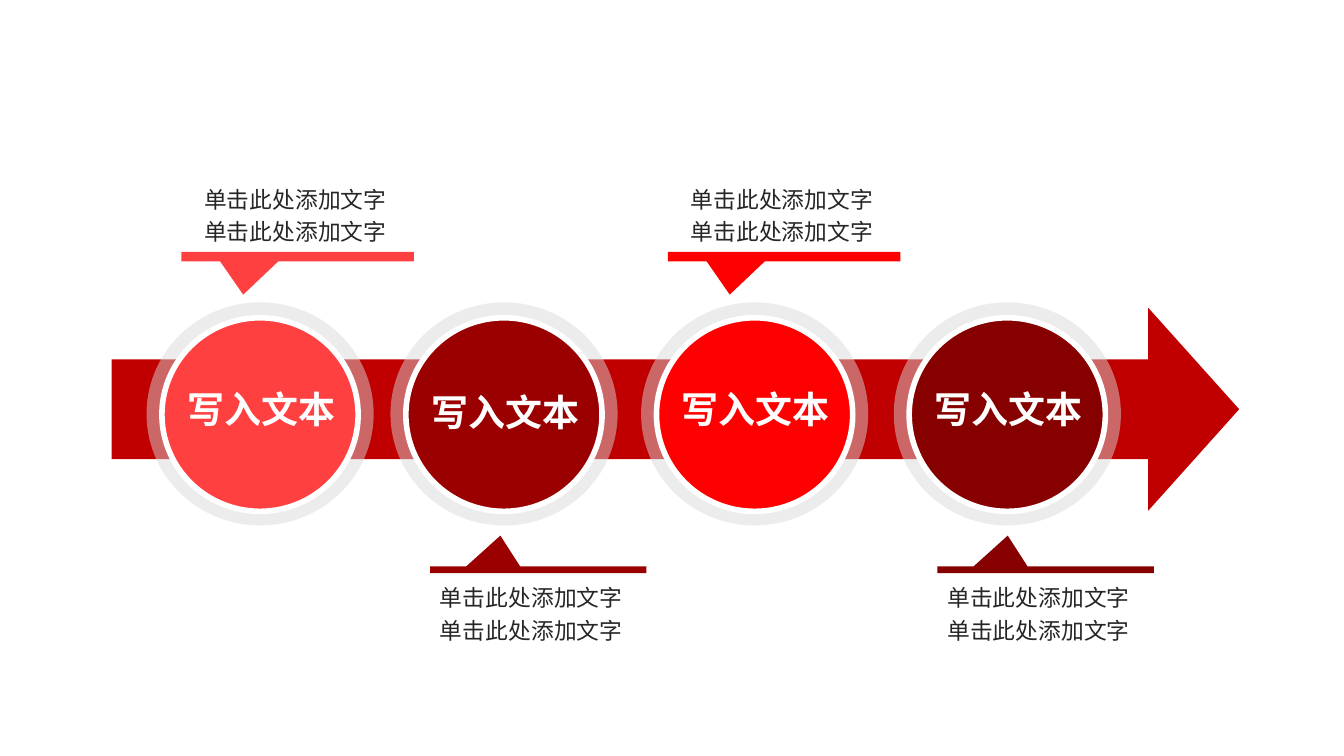
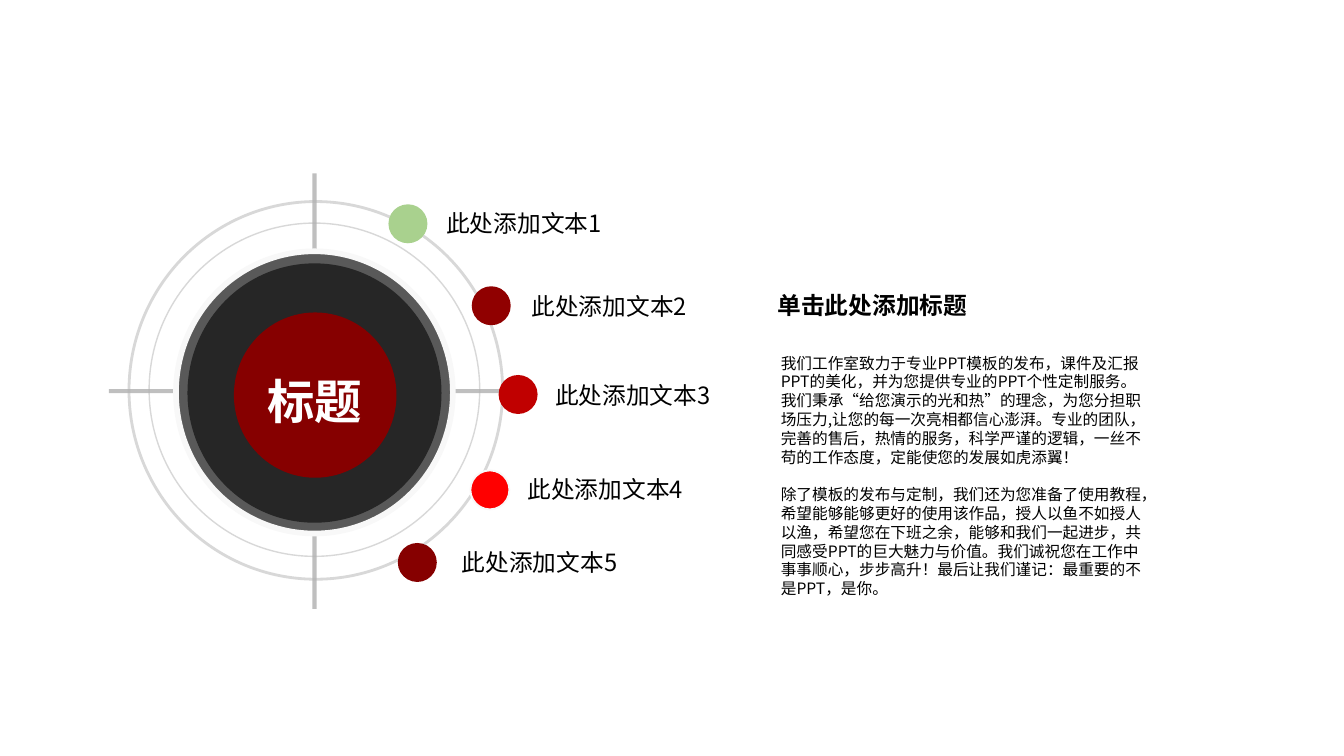
import pptx
import pptx.util
import pptx.dml.color
import pptx.enum.shapes
import pptx.enum.text
import pptx.oxml.ns
import lxml.etree

SHAPE = pptx.enum.shapes.MSO_SHAPE
ALIGN = pptx.enum.text.PP_ALIGN
ANCHOR = pptx.enum.text.MSO_ANCHOR
AUTO_SIZE = pptx.enum.text.MSO_AUTO_SIZE

# Shared style; every length is in square grid cells, 100 to the slide width
WIDTH = pptx.util.Inches(10)
HEIGHT = WIDTH * 9 // 16
COLUMNS = 100
FONT = "Noto Sans CJK SC"
WHITE, BLACK, INK = "FFFFFF", "000000", "262626"
RED, BRIGHT, CORAL = "C00000", "FF0000", "FF4040"
MAROON, DARK, WINE = "9A0000", "860000", "900000"
HALO, PALE, RING, CROSS = "D8D8D8", "F8F8F8", "B2B2B2", "808080"
RIM, GREEN = "595959", "A9D18E"
WIDE_INSET, SMALL_INSET = (1, 0.5), (0.7, 0.4)

# Wording
STAGE = "写入文本"
NOTE = ["单击此处添加文字"] * 2
HEADING = "单击此处添加标题"
BODY = [
    "我们工作室致力于专业PPT模板的发布，课件及汇报PPT的美化，并为您提供专业的PPT个性定制服务。"
    "我们秉承“给您演示的光和热”的理念，为您分担职场压力,让您的每一次亮相都信心澎湃。"
    "专业的团队，完善的售后，热情的服务，科学严谨的逻辑，一丝不苟的工作态度，定能使您的发展如虎添翼！",
    "除了模板的发布与定制，我们还为您准备了使用教程，希望能够能够更好的使用该作品，"
    "授人以鱼不如授人以渔，希望您在下班之余，能够和我们一起进步，共同感受PPT的巨大魅力与价值。"
    "我们诚祝您在工作中事事顺心，步步高升！最后让我们谨记：最重要的不是PPT，是你。",
]


def cells(n):
    return int(WIDTH * n / COLUMNS)


def rgb(value):
    return pptx.dml.color.RGBColor.from_string(value)


def set_alpha(sp, percent):
    for color in sp._element.xpath(".//p:spPr//a:srgbClr"):
        alpha = lxml.etree.SubElement(color, pptx.oxml.ns.qn("a:alpha"))
        alpha.set("val", str(percent * 1000))


def add_shape(slide, kind, box, fill=None, line=None, width=1, adjust=(), alpha=None):
    sp = slide.shapes.add_shape(kind, *map(cells, box))
    sp.shadow.inherit = False
    for i, value in enumerate(adjust):
        sp.adjustments[i] = value
    if fill:
        sp.fill.solid()
        sp.fill.fore_color.rgb = rgb(fill)
    else:
        sp.fill.background()
    if line:
        sp.line.color.rgb = rgb(line)
        sp.line.width = pptx.util.Pt(width)
    else:
        sp.line.fill.background()
    if alpha:
        set_alpha(sp, alpha)


def add_disc(slide, cx, cy, w, h, **style):
    add_shape(slide, SHAPE.OVAL, (cx - w / 2, cy - h / 2, w, h), **style)


def add_line(slide, start, end, color, width, alpha):
    line = slide.shapes.add_connector(
        pptx.enum.shapes.MSO_CONNECTOR.STRAIGHT, *map(cells, start + end))
    line.line.color.rgb = rgb(color)
    line.line.width = pptx.util.Pt(width)
    set_alpha(line, alpha)
    lxml.etree.SubElement(line._element.spPr, pptx.oxml.ns.qn("a:effectLst"))


def add_text(slide, box, paragraphs, size, color=BLACK, bold=False, inset=SMALL_INSET,
             anchor=ANCHOR.TOP, align=ALIGN.LEFT, spacing=None, gap=0, grow=True):
    tf = slide.shapes.add_textbox(*map(cells, box)).text_frame
    tf.word_wrap = True
    tf.auto_size = AUTO_SIZE.SHAPE_TO_FIT_TEXT if grow else AUTO_SIZE.NONE
    tf.vertical_anchor = anchor
    tf.margin_left = tf.margin_right = cells(inset[0])
    tf.margin_top = tf.margin_bottom = cells(inset[1])
    for i, text in enumerate(paragraphs):
        p = tf.add_paragraph() if i else tf.paragraphs[0]
        p.alignment = align
        if spacing:
            p.line_spacing = spacing
        if i and gap:
            p.space_before = pptx.util.Pt(gap)
        r = p.add_run()
        r.text = text
        r.font.name = FONT
        r.font.size = pptx.util.Pt(size)
        r.font.bold = bold
        r.font.color.rgb = rgb(color)
        ea = lxml.etree.SubElement(r._r.rPr, pptx.oxml.ns.qn("a:ea"))
        ea.set("typeface", FONT)


def add_stage(slide, cx, color, label_top):
    add_disc(slide, cx, 30.8, 16.9, 16.6, fill=HALO, alpha=48)
    add_disc(slide, cx, 30.85, 14.6, 14.4, fill=color, line=WHITE, width=3)
    add_text(slide, (cx - 9.2, label_top, 18.6, 5.9), [STAGE], 19.8, WHITE, True,
             WIDE_INSET, align=ALIGN.CENTER, grow=False)


def add_note(slide, left, color, above):
    if above:
        box, adjust, text_at = (left, 18.75, 17.3, 0.7), (-0.234, 4.033), (left + 0.7, 12.9)
    else:
        box, adjust, text_at = (left, 42.15, 16.1, 0.5), (-0.175, -5.095), (left - 0.25, 42.55)
    add_shape(slide, SHAPE.RECTANGULAR_CALLOUT, box, color, adjust=adjust)
    add_text(slide, text_at + (16.1, 5.9), NOTE, 12.2, INK, inset=WIDE_INSET, spacing=1.2)


def build_process(slide):
    add_shape(slide, SHAPE.RIGHT_ARROW, (8.3, 22.9, 83.9, 15.1), RED, adjust=(0.491, 0.448))
    # Stage centre, colour, label top, note left, note above the arrow
    stages = [
        (19.35, CORAL, 28.3, 13.5, True),
        (37.5, MAROON, 28.5, 32, False),
        (56.15, BRIGHT, 28.3, 49.7, True),
        (74.95, DARK, 28.3, 69.75, False),
    ]
    for cx, color, label_top, note_left, above in stages:
        add_stage(slide, cx, color, label_top)
        add_note(slide, note_left, color, above)


def build_target(slide):
    cx, cy = 23.4, 29.1
    # Cross hairs and rings
    add_line(slide, (8.1, cy), (38.8, cy), CROSS, 2.25, 50)
    add_line(slide, (cx, 12.9), (cx, 45.3), CROSS, 2.25, 50)
    add_disc(slide, cx, 29, 24.6, 24.8, line=RING, width=0.75, alpha=50)
    add_disc(slide, cx + 0.1, 29.05, 27.8, 28.1, line=RING, width=1.5, alpha=50)
    # Hub
    add_disc(slide, cx, 29.2, 20.6, 21, fill=RIM, line=PALE, width=3)
    add_disc(slide, cx, 29.25, 18.9, 19.3, fill=INK)
    add_disc(slide, cx + 0.05, 29.4, 12.1, 12.3, fill=DARK)
    add_text(slide, (19.2, 27.3, 13, 5), ["标题"], 25.4, WHITE, True)
    # Dot centre, colour, outline, label left and top
    items = [
        (30.35, 16.65, GREEN, None, 32.5, 15.2),
        (36.55, 22.75, WINE, None, 38.85, 21.4),
        (38.55, 29.35, RED, None, 40.6, 28),
        (36.45, 36.45, BRIGHT, PALE, 38.55, 35),
        (31.05, 41.85, DARK, None, 33.65, 40.45),
    ]
    for n, (x, y, color, outline, left, top) in enumerate(items, 1):
        add_disc(slide, x, y, 2.9, 2.9, fill=color, line=outline)
        add_text(slide, (left, top, 18, 2.8), [f"此处添加文本{n}"], 12.7, anchor=ANCHOR.MIDDLE)
    # Side text
    add_text(slide, (57.15, 21.2, 25.1, 2.8), [HEADING], 12.7, bold=True)
    add_text(slide, (57.4, 25.9, 28.7, 21), BODY, 8.4, gap=10.2)


def main():
    prs = pptx.Presentation()
    prs.slide_width, prs.slide_height = WIDTH, HEIGHT
    for build in (build_process, build_target):
        build(prs.slides.add_slide(prs.slide_layouts[6]))
    prs.save("out.pptx")


if __name__ == "__main__":
    main()
